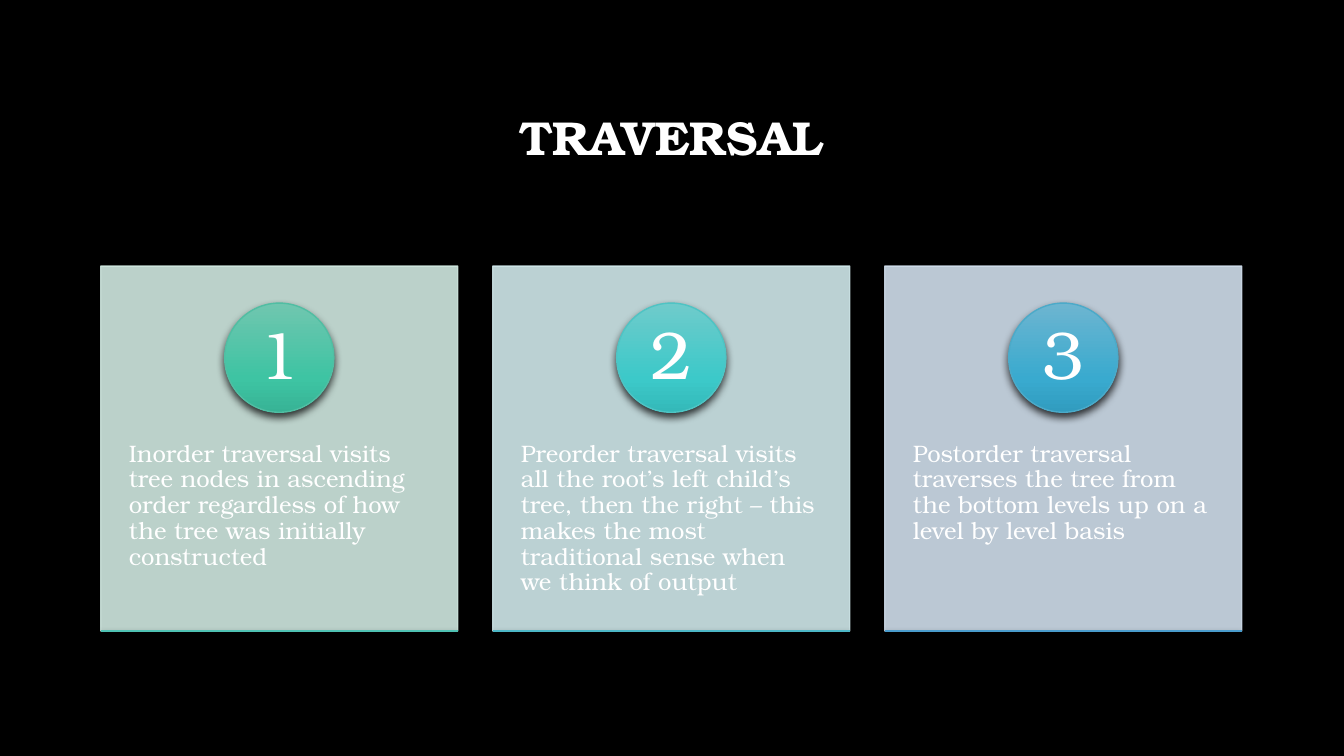
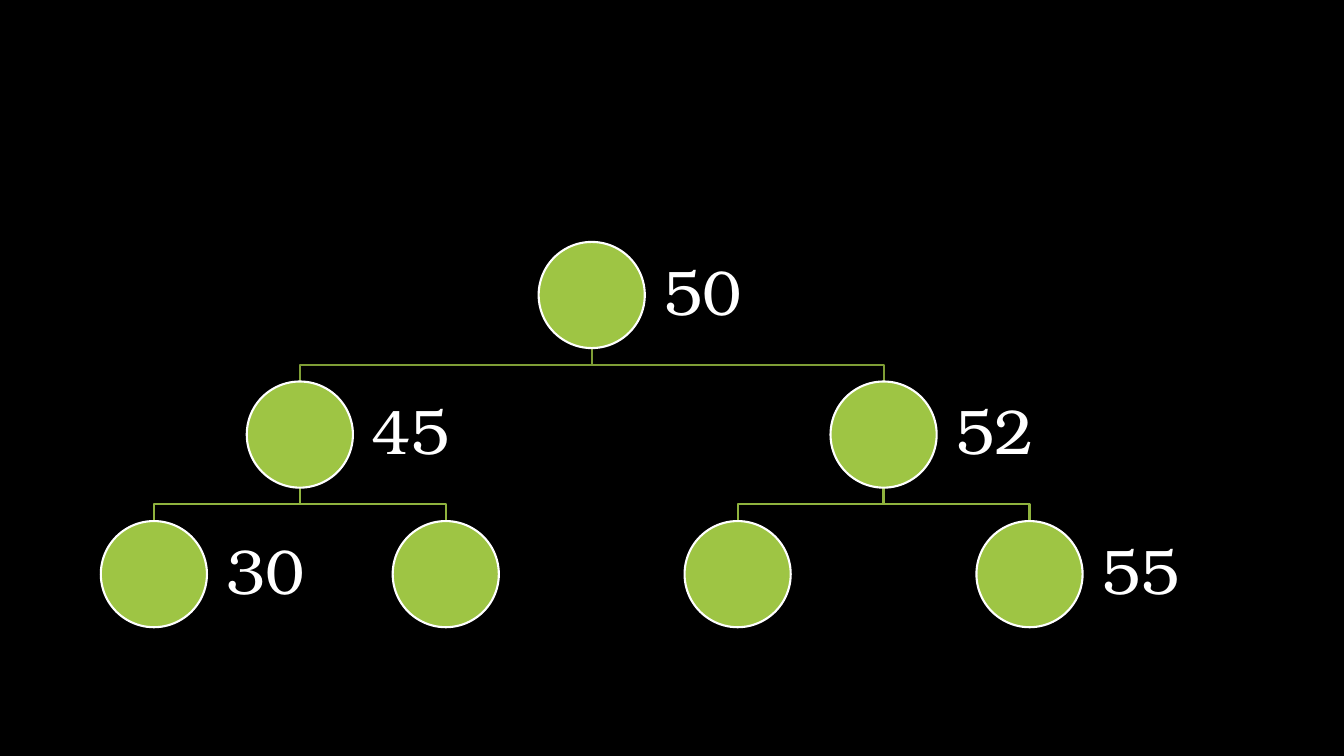
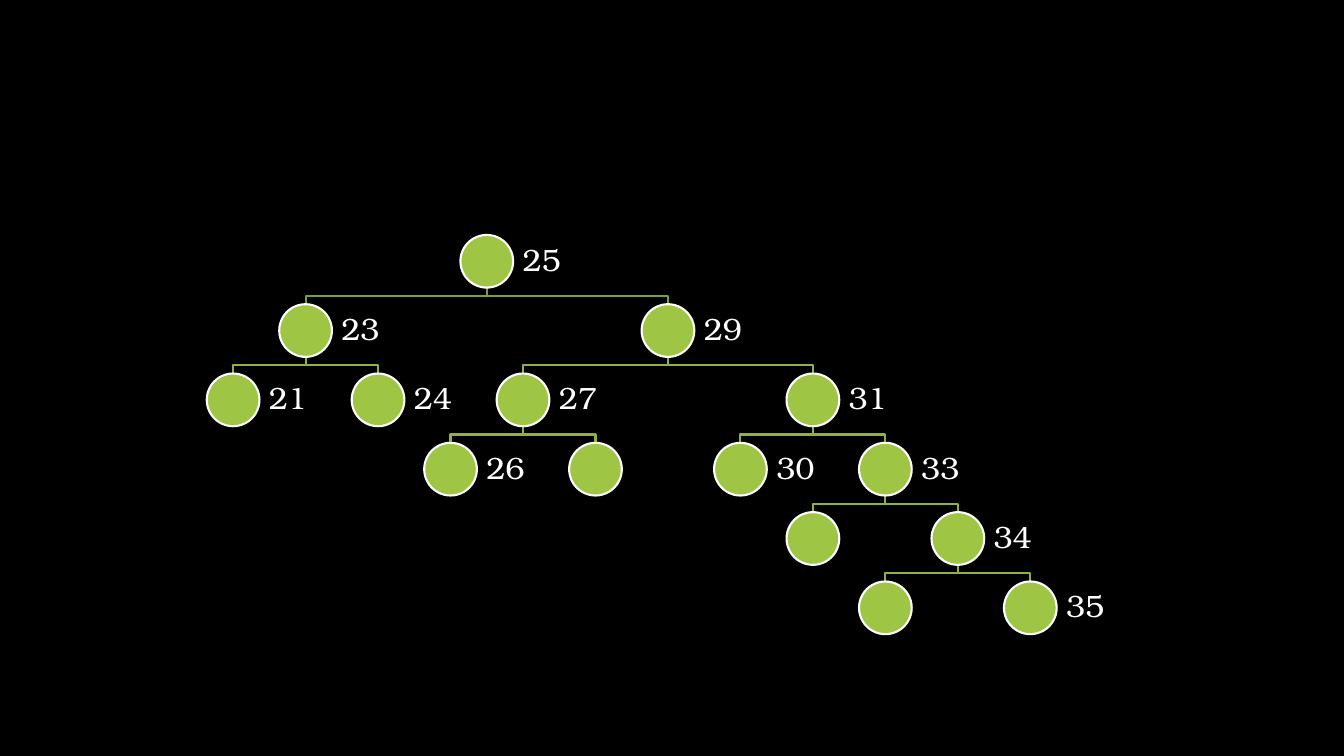
from dataclasses import dataclass
from typing import Optional

from lxml import etree
from pptx import Presentation
from pptx.dml.color import RGBColor
from pptx.enum import shapes, text
from pptx.oxml.ns import qn
from pptx.util import Pt


@dataclass(frozen=True)
class Theme:
    font: str = "TeX Gyre Bonum"
    back: str = "000000"
    ink: str = "FFFFFF"
    node: str = "9EC544"
    root_link: str = "7F9E36"
    link: str = "8FB33E"
    title: int = 34
    numeral: int = 48
    body: int = 17
    hairline: float = 1
    outline: float = 1.5


T = Theme()


@dataclass(frozen=True)
class Box:
    x: float
    y: float
    w: float
    h: float

    def emu(self):
        return Pt(self.x), Pt(self.y), Pt(self.w), Pt(self.h)


@dataclass(frozen=True)
class Card:
    text: str
    panel: str
    ball: tuple
    ball_line: str
    rule: str


@dataclass(frozen=True)
class Node:
    label: str = ""
    left: Optional["Node"] = None
    right: Optional["Node"] = None


TITLE_BOX = Box(72, 48, 815, 104.4)
CARDS_BOX = Box(72, 190.1, 815, 260.6)
TREE_BOX = Box(72, 167.8, 815, 285.2)

CARDS = [
    Card("Inorder traversal visits tree nodes in ascending order regardless of "
         "how the tree was initially constructed",
         "D0E8E0", ("70C6AF", "3EC4A3", "37B395"), "50BEA3", "4FC1B3"),
    Card("Preorder traversal visits all the root’s left child’s tree, then the "
         "right – this makes the most traditional sense when we think of output",
         "D0E8EA", ("6FCBCB", "3CC9C9", "34B9B9"), "4EC4C4", "4CB7C6"),
    Card("Postorder traversal traverses the tree from the bottom levels up on a "
         "level by level basis",
         "D0DEEC", ("6DB5D0", "39AACF", "319CBF"), "4BAAC9", "4A9CCC"),
]

SMALL_TREE = Node("50",
                  Node("45", Node("30"), Node()),
                  Node("52", Node(), Node("55")))
LARGE_TREE = Node("25",
                  Node("23", Node("21"), Node("24")),
                  Node("29",
                       Node("27", Node("26"), Node()),
                       Node("31",
                            Node("30"),
                            Node("33", Node(), Node("34", Node(), Node("35"))))))

# Tree proportions, in node diameters
SIBLING_GAP, LEVEL_PITCH, LABEL_WIDTH, LABEL_SIZE = 2.75, 1.315, 1.5, 0.59


def rgb(color):
    return RGBColor.from_string(color)


def write(tf, words, size, align=text.PP_ALIGN.LEFT,
          anchor=text.MSO_ANCHOR.MIDDLE, inset=(0, 0), bold=False):
    tf.word_wrap = True
    tf.auto_size = text.MSO_AUTO_SIZE.NONE
    tf.vertical_anchor = anchor
    tf.margin_left = tf.margin_right = Pt(inset[0])
    tf.margin_top = tf.margin_bottom = Pt(inset[1])
    p = tf.paragraphs[0]
    p.text, p.alignment, p.line_spacing = words, align, 0.9
    f = p.font
    f.name, f.size, f.bold = T.font, Pt(size), bold
    f.color.rgb = rgb(T.ink)


def add_text(s, box, words, size, **style):
    write(s.shapes.add_textbox(*box.emu()).text_frame, words, size, **style)


def add_filled(s, kind, box, fill, line, width):
    sp = s.shapes.add_shape(kind, *box.emu())
    sp.shadow.inherit = False
    sp.fill.solid()
    sp.fill.fore_color.rgb = rgb(fill)
    sp.line.color.rgb = rgb(line)
    sp.line.width = Pt(width)
    return sp


def sub(parent, tag, **attrs):
    return etree.SubElement(parent, qn(tag), {k: str(v) for k, v in attrs.items()})


def set_opacity(sp, percent):
    for color in sp._element.spPr.iter(qn("a:srgbClr")):
        sub(color, "a:alpha", val=percent * 1000)


def set_gradient(sp, colors):
    """Top-to-bottom gradient of three colours."""
    sp.fill.gradient()
    sp.fill.gradient_angle = 270
    stops = sp._element.spPr.find(".//" + qn("a:gsLst"))
    stops.clear()
    for position, color in zip((0, 69, 100), colors):
        sub(sub(stops, "a:gs", pos=position * 1000), "a:srgbClr", val=color)


def add_shadow(sp):
    props = sp._element.spPr
    effects = props.find(qn("a:effectLst"))
    if effects is None:
        effects = sub(props, "a:effectLst")
    shadow = sub(effects, "a:outerShdw", blurRad=Pt(6), dist=Pt(3),
                 dir=5400000, algn="ctr", rotWithShape=0)
    sub(sub(shadow, "a:srgbClr", val="000000"), "a:alpha", val=76000)


def add_card(s, box, number, card):
    panel = add_filled(s, shapes.MSO_SHAPE.RECTANGLE, box, card.panel, card.panel,
                       T.hairline)
    set_opacity(panel, 90)
    add_text(s, Box(box.x, box.y + 99.4, box.w, 156.4), card.text, T.body,
             anchor=text.MSO_ANCHOR.TOP, inset=(20, 26))

    d = 78
    ball = add_filled(s, shapes.MSO_SHAPE.OVAL,
                      Box(box.x + (box.w - d) / 2, box.y + 26.4, d, d),
                      card.ball[1], card.ball_line, T.hairline)
    set_gradient(ball, card.ball)
    add_shadow(ball)
    write(ball.text_frame, str(number), T.numeral, align=text.PP_ALIGN.CENTER)

    bottom = Pt(box.y + box.h)
    rule = s.shapes.add_connector(shapes.MSO_CONNECTOR.STRAIGHT,
                                  Pt(box.x), bottom, Pt(box.x + box.w), bottom)
    rule.line.color.rgb = rgb(card.rule)
    rule.line.width = Pt(T.hairline)
    add_shadow(rule)


def add_cards(s, box, cards, gap=25):
    w = (box.w - gap * (len(cards) - 1)) / len(cards)
    for i, card in enumerate(cards):
        add_card(s, Box(box.x + i * (w + gap), box.y, w, box.h), i + 1, card)


def children(node):
    return [c for c in (node.left, node.right) if c]


def contour(node):
    """Leftmost and rightmost centre on each level, relative to the node."""
    if not children(node):
        return [(0, 0)]
    half = half_spread(node)
    left, right = contour(node.left), contour(node.right)
    levels = [(0, 0)]
    for i in range(max(len(left), len(right))):
        row = [x - half for x in left[i]] if i < len(left) else []
        row += [x + half for x in right[i]] if i < len(right) else []
        levels.append((min(row), max(row)))
    return levels


def half_spread(node):
    """Half the smallest distance that keeps the two subtrees apart."""
    pairs = zip(contour(node.left), contour(node.right))
    return max(l[1] - r[0] + SIBLING_GAP for l, r in pairs) / 2


def place(node, x, level=0):
    """Yield each node with its centre, level and its parent's centre."""
    def walk(n, cx, depth, parent_x):
        yield n, cx, depth, parent_x
        if children(n):
            half = half_spread(n)
            yield from walk(n.left, cx - half, depth + 1, cx)
            yield from walk(n.right, cx + half, depth + 1, cx)
    return list(walk(node, x, level, None))


def add_link(s, start, end, color):
    (x1, y1), (x2, y2) = start, end
    mid = (y1 + y2) / 2
    fb = s.shapes.build_freeform(Pt(x1), Pt(y1))
    fb.add_line_segments([(Pt(x), Pt(y)) for x, y in ((x1, mid), (x2, mid), (x2, y2))],
                         close=False)
    sp = fb.convert_to_shape()
    sp.shadow.inherit = False
    sp.fill.background()
    sp.line.color.rgb = rgb(color)
    sp.line.width = Pt(T.outline)


def add_tree(s, box, root):
    """Draw the tree as large as the box allows, centred in it."""
    levels = contour(root)
    low, high = min(l for l, _ in levels), max(r for _, r in levels)
    width = high - low + 1 + LABEL_WIDTH
    height = (len(levels) - 1) * LEVEL_PITCH + 1
    d = min(box.w / width, box.h / height)
    x0 = box.x + (box.w - width * d) / 2
    y0 = box.y + (box.h - height * d) / 2
    placed = [(n, x0 + cx * d, y0 + level * LEVEL_PITCH * d, level,
               None if px is None else x0 + px * d)
              for n, cx, level, px in place(root, 0.5 - low)]

    for _, cx, y, level, px in placed:
        if level:
            add_link(s, (px, y - (LEVEL_PITCH - 1) * d), (cx, y),
                     T.root_link if level == 1 else T.link)
    for n, cx, y, _, _ in placed:
        add_filled(s, shapes.MSO_SHAPE.OVAL, Box(cx - d / 2, y, d, d),
                   T.node, T.ink, T.outline)
        if n.label:
            add_text(s, Box(cx + d / 2, y, LABEL_WIDTH * d, d), n.label,
                     round(LABEL_SIZE * d), inset=(0.18 * d, 0.18 * d))


def cards_slide(prs, title, cards):
    s = prs.slides.add_slide(prs.slide_layouts.get_by_name("Title Only"))
    sp = s.shapes.title
    sp.left, sp.top, sp.width, sp.height = TITLE_BOX.emu()
    write(sp.text_frame, title, T.title, align=text.PP_ALIGN.CENTER, bold=True)
    add_cards(s, CARDS_BOX, cards)


def tree_slide(prs, root):
    s = prs.slides.add_slide(prs.slide_layouts.get_by_name("Blank"))
    add_tree(s, TREE_BOX, root)


def main():
    prs = Presentation()
    prs.slide_width, prs.slide_height = Pt(960), Pt(540)
    back = prs.slide_master.background.fill
    back.solid()
    back.fore_color.rgb = rgb(T.back)

    cards_slide(prs, "TRAVERSAL", CARDS)
    tree_slide(prs, SMALL_TREE)
    tree_slide(prs, LARGE_TREE)
    prs.save("out.pptx")


if __name__ == "__main__":
    main()
